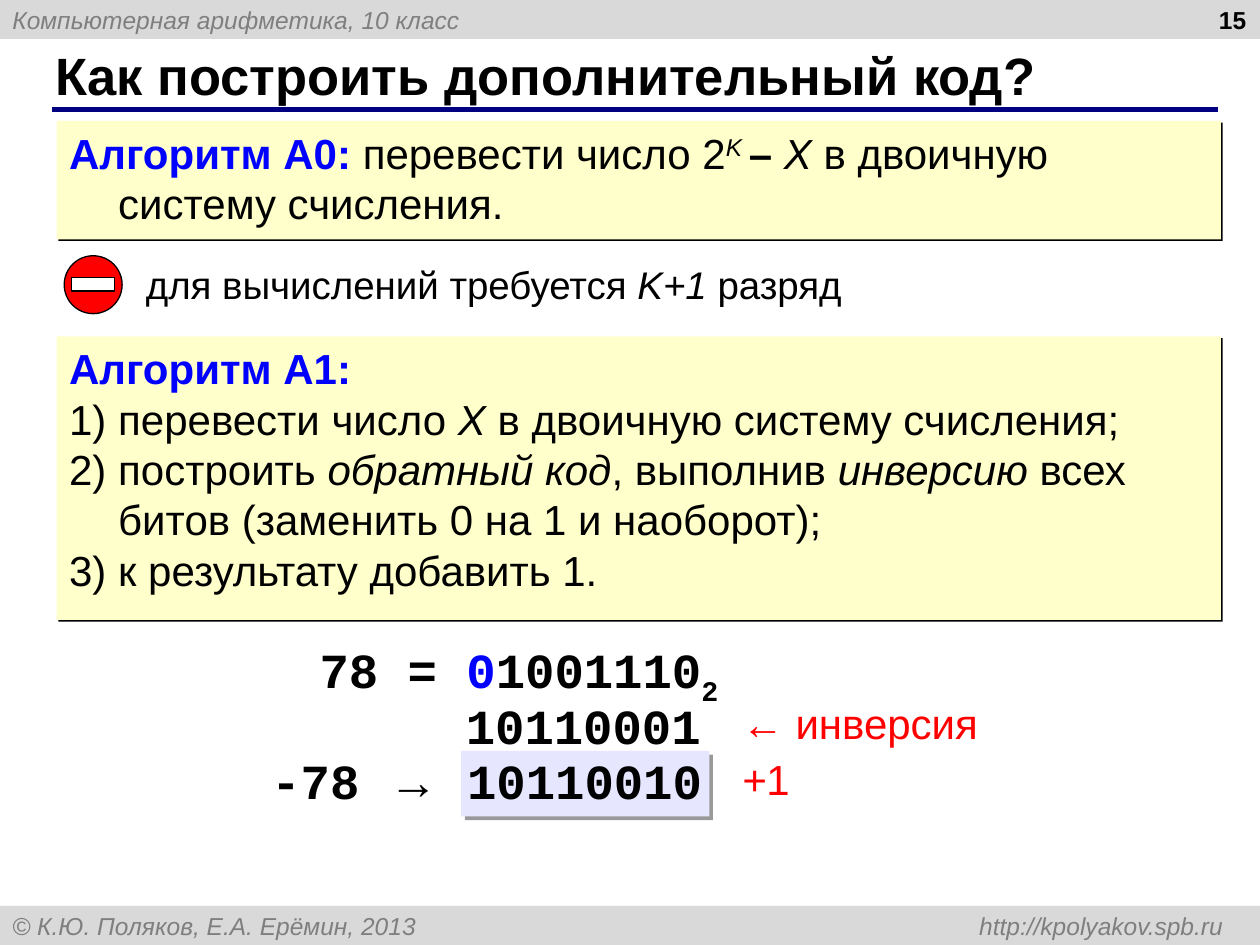
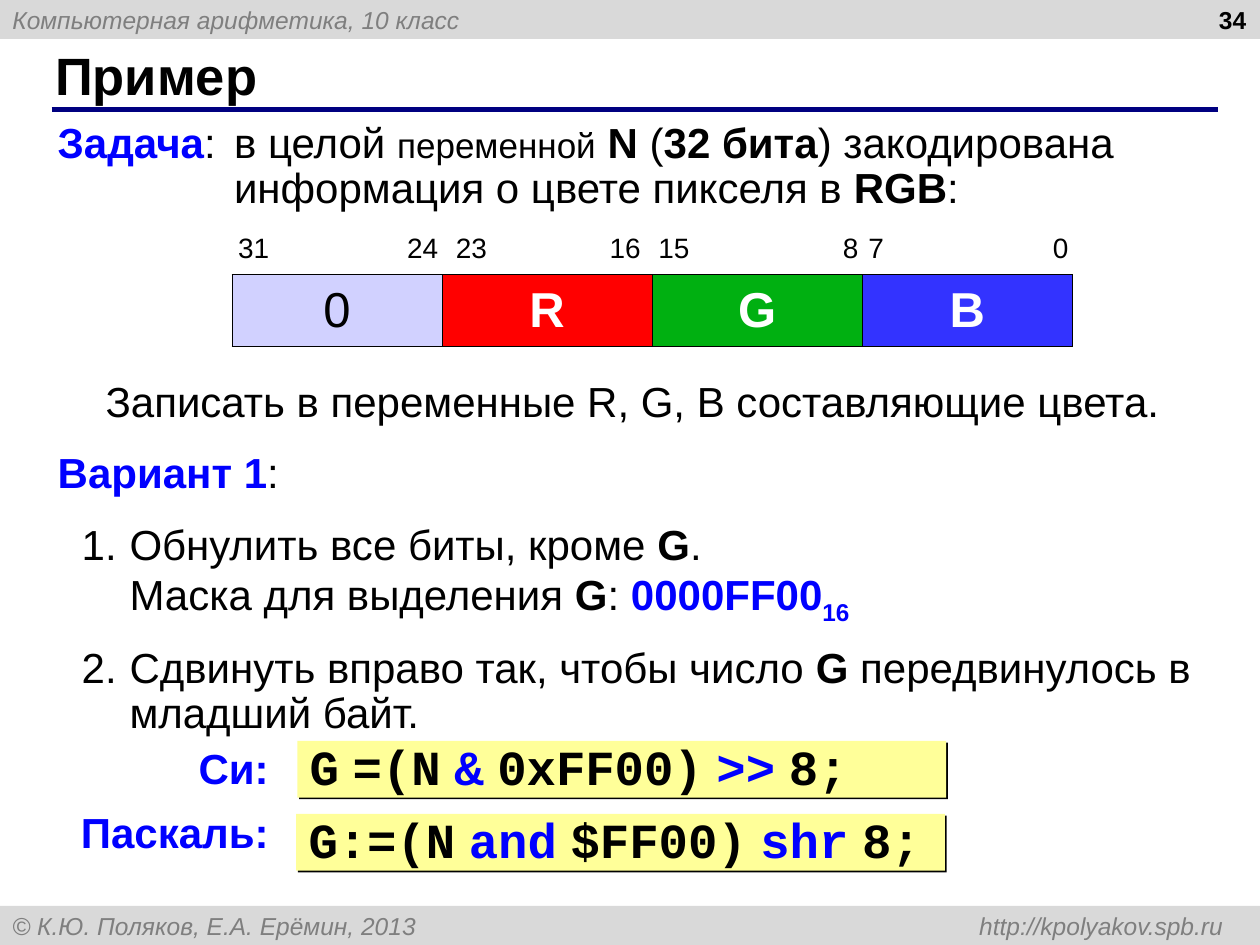
from dataclasses import dataclass
from itertools import groupby

from lxml.etree import SubElement
from pptx import Presentation
from pptx.dml.color import RGBColor
from pptx.enum.shapes import MSO_CONNECTOR, MSO_SHAPE
from pptx.enum.text import MSO_ANCHOR, PP_ALIGN
from pptx.oxml.ns import qn
from pptx.util import Inches, Pt

COLS, ROWS = 100, 75  # grid of the slide, one cell is 0.1 inch
CELL = 0.1


@dataclass(frozen=True)
class Theme:
    sans: str = "Arial"
    mono: str = "Courier New"
    black: str = "000000"
    white: str = "FFFFFF"
    band: str = "D9D9D9"
    muted: str = "7F7F7F"
    rule: str = "000080"
    key: str = "0000FF"
    red: str = "FF0000"
    green: str = "00B011"
    blue: str = "3333FF"
    pale_blue: str = "D1D1FF"
    result: str = "E6E6FF"
    note: str = "FFFFCC"
    code: str = "FFFF99"
    title_pt: int = 30
    code_pt: int = 28
    body_pt: int = 24
    remark_pt: int = 22
    small_pt: int = 20
    bits_pt: int = 16
    band_pt: int = 14


T = Theme()

# Run styles: font attributes, plus "color" and "baseline"
STYLES = {
    "": {},
    "b": {"bold": True},
    "i": {"italic": True},
    "key": {"bold": True, "color": T.key},
    "small": {"size": T.small_pt},
    "sup": {"italic": True, "baseline": 30},
    "sub": {"baseline": -25},
    "keysub": {"bold": True, "color": T.key, "baseline": -25},
    "sans": {"name": T.sans},
}
BAND = {"size": T.band_pt, "color": T.muted, "italic": True}
CODE = {"name": T.mono, "size": T.code_pt, "bold": True}


def grid(*cells):
    return [Inches(c * CELL) for c in cells]


def rgb(value):
    return RGBColor.from_string(value)


# Text
def add_runs(p, runs, base):
    """Write runs given as plain strings or (text, style name) pairs."""
    for item in runs:
        text, style = (item, "") if isinstance(item, str) else item
        if text == "\n":
            p.add_line_break()
            continue
        fmt = {"name": T.sans, "size": T.body_pt, "color": T.black, **base, **STYLES[style]}
        r = p.add_run()
        r.text = text
        r.font.color.rgb = rgb(fmt.pop("color"))
        baseline = fmt.pop("baseline", 0)
        if baseline:
            r._r.get_or_add_rPr().set("baseline", str(baseline * 1000))
        fmt["size"] = Pt(fmt["size"])
        for name, value in fmt.items():
            setattr(r.font, name, value)


def indent(p, left, first=0.0):
    pPr = p._p.get_or_add_pPr()
    pPr.set("marL", str(Inches(left)))
    pPr.set("indent", str(Inches(first)))


def number(p, scheme):
    pPr = p._p.get_or_add_pPr()
    SubElement(SubElement(pPr, qn("a:buClr")), qn("a:srgbClr")).set("val", T.black)
    SubElement(pPr, qn("a:buAutoNum")).set("type", scheme)


def right_tab(p, at):
    tabs = SubElement(p._p.get_or_add_pPr(), qn("a:tabLst"))
    tab = SubElement(tabs, qn("a:tab"))
    tab.set("pos", str(Inches(at)))
    tab.set("algn", "r")


def write(tf, paragraphs, base=None, align=PP_ALIGN.LEFT, anchor=MSO_ANCHOR.TOP):
    """Fill a text frame; a paragraph is a list of runs."""
    tf.word_wrap, tf.vertical_anchor = True, anchor
    made = []
    for i, runs in enumerate(paragraphs):
        p = tf.add_paragraph() if i else tf.paragraphs[0]
        p.alignment = align
        add_runs(p, runs, base or {})
        made.append(p)
    return made


def label(s, at, runs, base=None, **layout):
    sp = s.shapes.add_textbox(*grid(*at))
    return write(sp.text_frame, [runs], base, **layout)[0]


# Shapes
def box(shapes, at, fill, line=None, kind=MSO_SHAPE.RECTANGLE):
    sp = shapes.add_shape(kind, *grid(*at))
    sp.shadow.inherit = False
    sp.fill.solid()
    sp.fill.fore_color.rgb = rgb(fill)
    if line:
        sp.line.color.rgb = rgb(line)
        sp.line.width = Pt(0.75)
    else:
        sp.line.fill.background()
    return sp


def shadow_box(s, at, fill, distance=1.4, opacity=100):
    sp = box(s.shapes, at, fill)
    effects = sp._element.spPr.find(qn("a:effectLst"))
    shadow = SubElement(effects, qn("a:outerShdw"))
    for name, value in {"dist": Pt(distance), "dir": 45 * 60000, "algn": "ctr",
                        "rotWithShape": 0}.items():
        shadow.set(name, str(value))
    color = SubElement(shadow, qn("a:srgbClr"))
    color.set("val", T.black)
    SubElement(color, qn("a:alpha")).set("val", str(opacity * 1000))
    return sp


def code_box(s, at, runs):
    """Code with narrow sans-serif spaces between its tokens."""
    pieces = []
    for text, style in runs:
        for blank, chars in groupby(text, str.isspace):
            pieces.append(("".join(chars), "sans" if blank else style))
    sp = shadow_box(s, at, T.code)
    p = write(sp.text_frame, [pieces], CODE, anchor=MSO_ANCHOR.MIDDLE)[0]
    p.line_spacing = 0.9


def no_entry_sign(s, col, row):
    group = s.shapes.add_group_shape()
    box(group.shapes, (col, row, 4.6, 4.6), T.red, T.black, MSO_SHAPE.OVAL)
    box(group.shapes, (col + 0.6, row + 1.7, 3.4, 1.1), T.white, T.black)


# Tables
def cell_border(cell, color, width):
    tcPr = cell._tc.get_or_add_tcPr()
    for i, side in enumerate(("a:lnL", "a:lnR", "a:lnT", "a:lnB")):
        ln = tcPr.makeelement(qn(side), {"w": str(Pt(width))})
        fill = SubElement(ln, qn("a:solidFill"))
        SubElement(fill, qn("a:srgbClr")).set("val", color)
        tcPr.insert(i, ln)


def row_table(s, at, count):
    """Add a plain one-row table and return its cells."""
    table = s.shapes.add_table(1, count, *grid(*at)).table
    table.first_row = table.horz_banding = False
    return [table.cell(0, i) for i in range(count)]


def byte_table(s, col, row, width):
    fields = [("0", T.pale_blue, T.black, False), ("R", T.red, T.white, True),
              ("G", T.green, T.white, True), ("B", T.blue, T.white, True)]
    for cell, (name, fill, color, bold) in zip(row_table(s, (col, row, width, 5.7), 4), fields):
        cell.fill.solid()
        cell.fill.fore_color.rgb = rgb(fill)
        cell_border(cell, T.black, 0.45)
        write(cell.text_frame, [[name]], {"size": T.code_pt, "color": color, "bold": bold},
              PP_ALIGN.CENTER)
        cell.vertical_anchor = MSO_ANCHOR.MIDDLE


def bit_table(s, col, row, width):
    bits = [("31", "24", 0.04), ("23", "16", 0.1), ("15", "8", 0.04), ("7", "0", 0.04)]
    for cell, (high, low, inset) in zip(row_table(s, (col, row, width, 3.7), 4), bits):
        cell.fill.background()
        cell.margin_left, cell.margin_right = Inches(inset), 0
        p = write(cell.text_frame, [[f"{high}\t{low}"]], {"size": T.bits_pt})[0]
        right_tab(p, width / 4 * CELL - 2 * inset)
        cell.vertical_anchor = MSO_ANCHOR.MIDDLE


# Shared slide frame
def new_slide(prs, title, page):
    s = prs.slides.add_slide(prs.slide_layouts[6])
    band = 3.1
    bands = [(0, "Компьютерная арифметика, 10 класс"),
             (ROWS - band, "© К.Ю. Поляков, Е.А. Ерёмин, 2013\thttp://kpolyakov.spb.ru")]
    for row, text in bands:
        sp = box(s.shapes, (0, row, COLS, band), T.band)
        p = write(sp.text_frame, [[text]], BAND, anchor=MSO_ANCHOR.MIDDLE)[0]
        right_tab(p, 9.61)
    rule = s.shapes.add_connector(MSO_CONNECTOR.STRAIGHT, *grid(4.1, 8.7, 96.7, 8.7))
    rule.line.color.rgb = rgb(T.rule)
    rule.line.width = Pt(3)
    SubElement(rule._element.spPr, qn("a:effectLst"))
    label(s, (3.4, 3.3, 91.6, 5.2), [title], {"size": T.title_pt, "bold": True},
          anchor=MSO_ANCHOR.MIDDLE)
    label(s, (76.6, 0, 23.3, band), [str(page)], {"size": T.band_pt, "bold": True},
          align=PP_ALIGN.RIGHT, anchor=MSO_ANCHOR.MIDDLE)
    return s


def complement_slide(prs):
    s = new_slide(prs, "Как построить дополнительный код?", 15)

    # Algorithms
    a0 = shadow_box(s, (4.5, 9.6, 92.4, 9.4), T.note)
    p = write(a0.text_frame, [[
        ("Алгоритм А0: ", "key"), "перевести число 2", ("K ", "sup"), ("– ", "b"), ("X ", "i"),
        "в двоичную систему счисления."]])[0]
    indent(p, 0.39, -0.39)
    no_entry_sign(s, 5.1, 20.3)
    label(s, (10.6, 20.2, 72.3, 4.7),
          ["для вычислений требуется ", ("K+1 ", "i"), "разряд"], {"size": T.remark_pt})
    a1 = shadow_box(s, (4.5, 26.7, 92.4, 22.5), T.note)
    heading, *steps = write(a1.text_frame, [
        [("Алгоритм А1:", "key")],
        ["перевести число ", ("X ", "i"), "в двоичную систему счисления;"],
        ["построить ", ("обратный код", "i"), ", выполнив ", ("инверсию", "i"),
         " всех битов (заменить 0 на 1 и наоборот);"],
        ["к результату добавить 1."]])
    for p in steps:
        indent(p, 0.39, -0.39)
        number(p, "arabicParenR")

    # Worked example, right-aligned rows
    shadow_box(s, (36.6, 59.6, 19.7, 5.2), T.result, 3, 40)
    left, top, step = 19, 50.3, 4.4
    rows = [(58, ["78 = ", ("0", "key"), "1001110", ("2", "sub")]),
            (56.6, ["10110001"]),
            (56.7, ["-78 ", ("→", "sans"), " 10110010"])]
    for i, (right, runs) in enumerate(rows):
        label(s, (left, top + i * step, right - left, 5.7), runs, CODE, align=PP_ALIGN.RIGHT)
    for i, runs in enumerate((["← инверсия"], [("+", "i"), "1"])):
        label(s, (57.9, 54.9 + i * step, 21.4, 5), runs, {"color": T.red})


def example_slide(prs):
    s = new_slide(prs, "Пример", 34)

    # Task and solution steps: runs, indent, first line, space before, numbered
    body = [
        ([("Задача", "key"), ":\tв целой ", ("переменной", "small"), " ", ("N", "b"), " (",
          ("32 бита", "b"), ") закодирована информация о цвете пикселя в ", ("RGB", "b"), ":"],
         1.4, -1.4, 0, False),
        (["Записать в переменные R, G, B составляющие цвета."], 0.38, 0, 96, False),
        ([("Вариант 1", "key"), ":"], 0.38, -0.38, 15, False),
        (["Обнулить все биты, кроме ", ("G", "b"), ".", "\n", "Маска для выделения ", ("G", "b"),
          ": ", ("0000FF00", "key"), ("16", "keysub")], 0.57, -0.38, 15, True),
        (["Сдвинуть вправо так, чтобы число ", ("G ", "b"), "передвинулось в младший байт."],
         0.57, -0.38, 15, True),
    ]
    sp = s.shapes.add_textbox(*grid(3.6, 9.2, 92.4, 49.8))
    made = write(sp.text_frame, [item[0] for item in body])
    for p, (_, left, first, before, numbered) in zip(made, body):
        indent(p, left, first)
        p.line_spacing, p.space_before = 0.9, Pt(before)
        if numbered:
            number(p, "arabicPeriod")

    # Bit layout of the variable
    byte_table(s, 18.4, 21.8, 66.7)
    bit_table(s, 18.5, 17.9, 66.7)

    # The same expression in two languages
    lines = [("Си:", 58.4, 23.6, 58.8,
              [("G =(N ", ""), ("& ", "key"), ("0xFF00) ", ""), (">> ", "key"), ("8;", "")]),
             ("Паскаль:", 63.5, 23.5, 64.6,
              [("G:=(N ", ""), ("and ", "key"), ("$FF00) ", ""), ("shr ", "key"), ("8;", "")])]
    for language, label_row, col, row, runs in lines:
        label(s, (4.4, label_row, 17.9, 5), [(language, "key")], align=PP_ALIGN.RIGHT)
        code_box(s, (col, row, 51.5, 4.5), runs)


def main():
    prs = Presentation()
    prs.slide_width, prs.slide_height = grid(COLS, ROWS)
    complement_slide(prs)
    example_slide(prs)
    prs.save("out.pptx")


if __name__ == "__main__":
    main()
